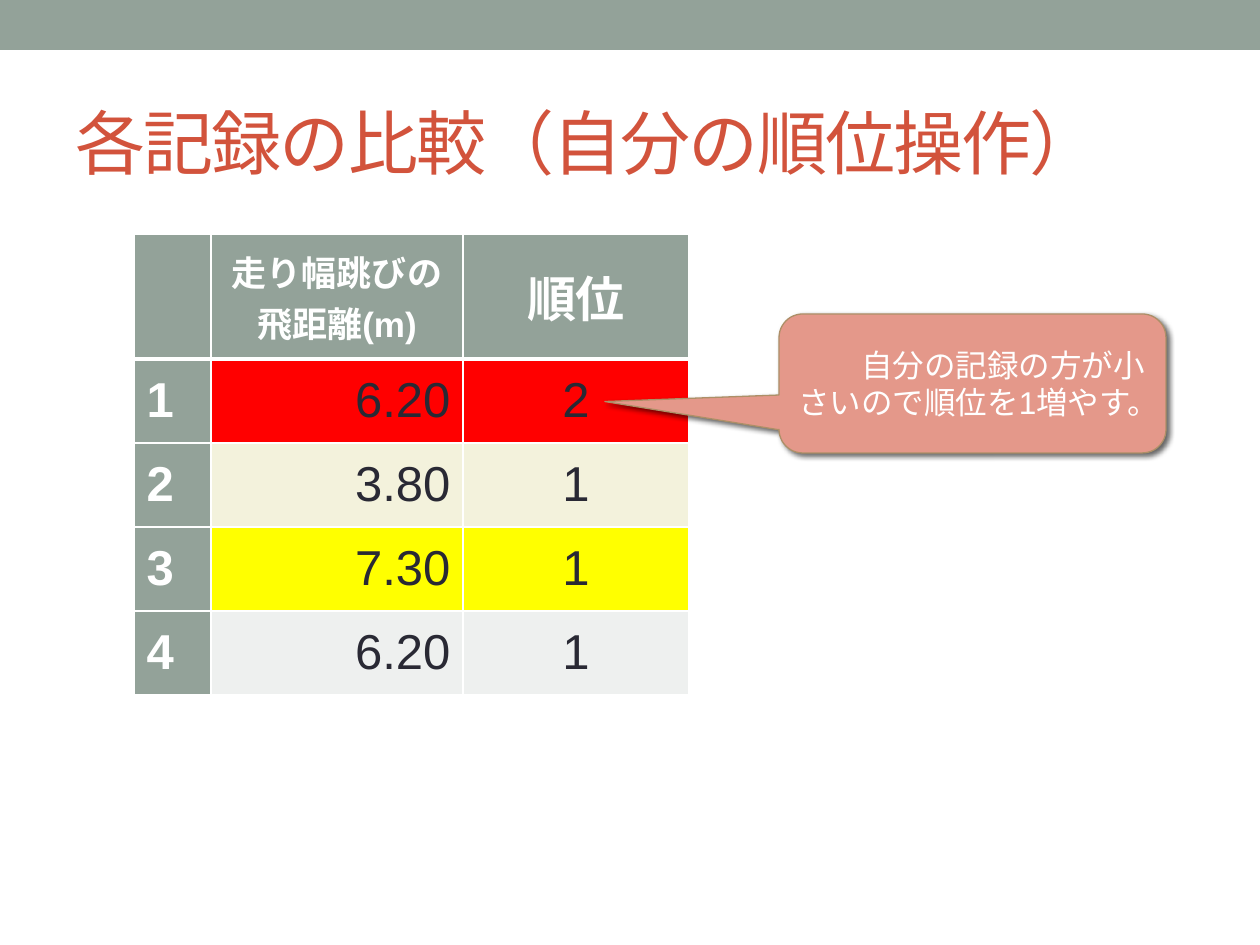
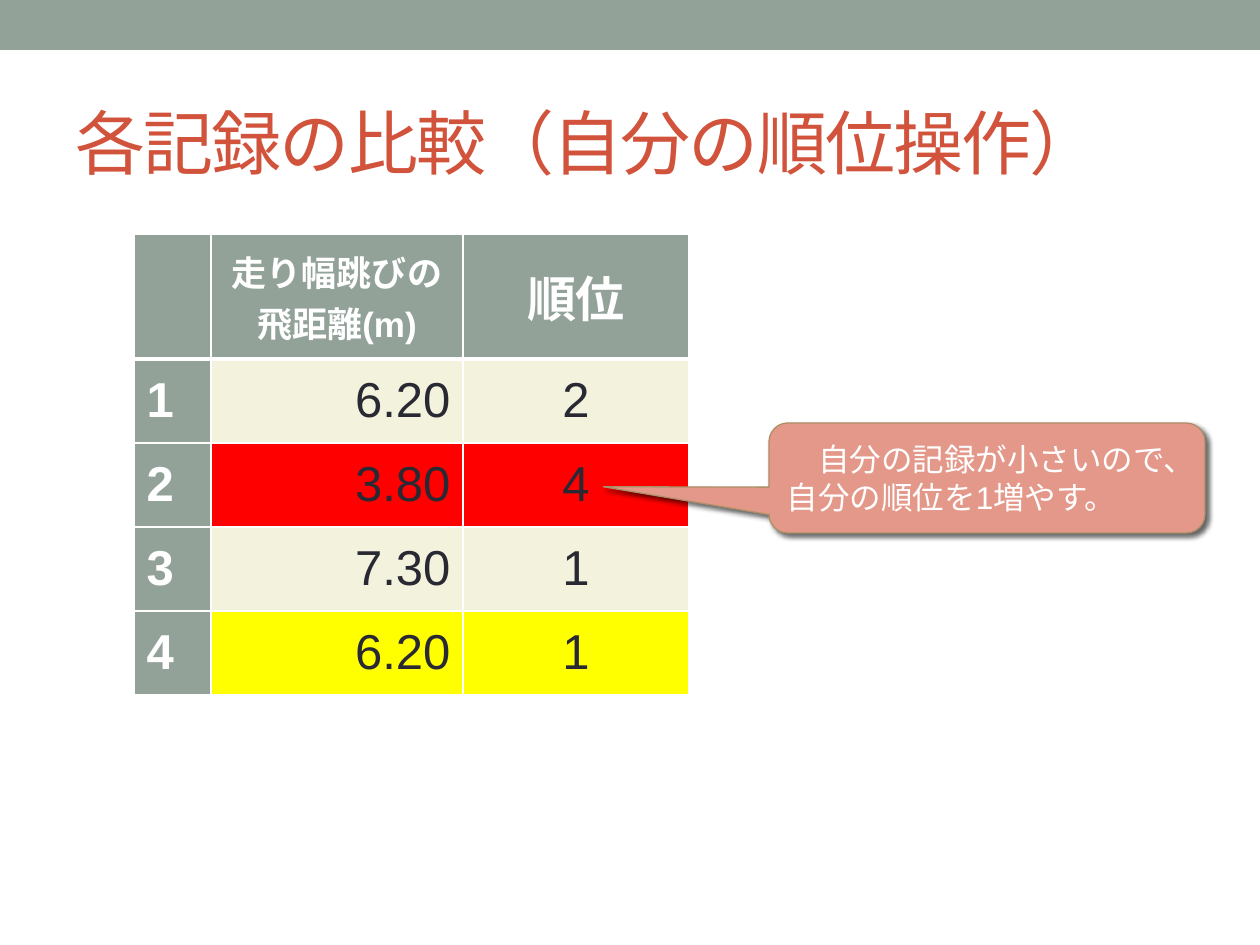
from dataclasses import dataclass

from lxml import etree
from pptx import Presentation
from pptx.dml.color import RGBColor
from pptx.enum.lang import MSO_LANGUAGE_ID
from pptx.enum.shapes import MSO_SHAPE
from pptx.enum.text import MSO_ANCHOR, PP_ALIGN
from pptx.oxml import parse_xml
from pptx.oxml.ns import nsdecls, qn
from pptx.slide import Slide
from pptx.table import _Cell
from pptx.text.text import TextFrame
from pptx.util import Emu, Pt

PX_PER_INCH = 126
FONT = "Arial"
JAPANESE = MSO_LANGUAGE_ID.JAPANESE
RECTANGLE = MSO_SHAPE.RECTANGLE
CALLOUT = MSO_SHAPE.ROUNDED_RECTANGULAR_CALLOUT
MIDDLE = MSO_ANCHOR.MIDDLE
LEFT, CENTER, RIGHT = PP_ALIGN.LEFT, PP_ALIGN.CENTER, PP_ALIGN.RIGHT

WHITE = "FFFFFF"
SAGE = "93A299"
TITLE_RED = "D2533C"
INK = "292934"
CREAM = "F3F2DC"
PALE_GRAY = "EEF0EF"
OWN_RECORD = "FF0000"
COMPARED_RECORD = "FFFF00"
CALLOUT_FILL = "E4988A"
CALLOUT_EDGE = "AD8F67"

TITLE = "各記録の比較（自分の順位操作）"
HEADINGS = (("", 28), ("走り幅跳びの\n飛距離(m)", 20), ("順位", 28))
DISTANCES = ("6.20", "3.80", "7.30", "6.20")
COLUMN_WIDTHS = (77, 252, 226)
HEADER_HEIGHT = 125
RECORD_HEIGHT = 84
CALLOUT_SIZE = 18


@dataclass(frozen=True)
class Box:
    left: int
    top: int
    width: int
    height: int


@dataclass(frozen=True)
class Remark:
    text: str
    box: Box
    indent_chars: int
    pointer: tuple[float, float, float]


@dataclass(frozen=True)
class Step:
    ranks: tuple[str, ...]
    row_fills: tuple[str, ...]
    remark: Remark


BAND_BOX = Box(0, 0, 1260, 50)
TITLE_BOX = Box(63, 73, 1134, 136)
TABLE_BOX = Box(134, 234, sum(COLUMN_WIDTHS), HEADER_HEIGHT + RECORD_HEIGHT * len(DISTANCES))

STEPS = (
    Step(
        ("2", "1", "1", "1"),
        (OWN_RECORD, CREAM, COMPARED_RECORD, PALE_GRAY),
        Remark("自分の記録の方が小さいので順位を1増やす。",
               Box(779, 314, 387, 139), 2, (-0.95, 0.13, 0.17)),
    ),
    Step(
        ("2", "4", "1", "1"),
        (CREAM, OWN_RECORD, CREAM, COMPARED_RECORD),
        Remark("自分の記録が小さいので、自分の順位を1増やす。",
               Box(769, 423, 436, 110), 1, (-0.88, 0.08, 0.17)),
    ),
)


def px(length: int) -> Emu:
    return Emu(round(length * 914400 / PX_PER_INCH))


def place(box: Box) -> tuple[Emu, Emu, Emu, Emu]:
    return px(box.left), px(box.top), px(box.width), px(box.height)


def color(hex_value: str) -> RGBColor:
    return RGBColor.from_string(hex_value)


def write(frame: TextFrame, text: str, size: int, ink: str,
          align: PP_ALIGN = LEFT, bold: bool = False) -> None:
    frame.text = text
    frame.word_wrap = True
    for paragraph in frame.paragraphs:
        paragraph.alignment = align
        for run in paragraph.runs:
            run.font.name = FONT
            run.font.size = Pt(size)
            run.font.bold = bold
            run.font.color.rgb = color(ink)
            run.font.language_id = JAPANESE


def draw_band(slide: Slide) -> None:
    band = slide.shapes.add_shape(RECTANGLE, *place(BAND_BOX))
    band.shadow.inherit = False
    band.fill.solid()
    band.fill.fore_color.rgb = color(SAGE)
    band.line.fill.background()


def draw_title(slide: Slide) -> None:
    frame = slide.shapes.add_textbox(*place(TITLE_BOX)).text_frame
    write(frame, TITLE, 40, TITLE_RED)
    frame.vertical_anchor = MIDDLE
    for run in frame.paragraphs[0].runs:
        run.font._element.set("spc", "-100")


def set_borders(cell: _Cell, top: int, bottom: int) -> None:
    properties = cell._tc.get_or_add_tcPr()
    for position, (side, points) in enumerate(
            (("L", 1), ("R", 1), ("T", top), ("B", bottom))):
        properties.insert(position, parse_xml(
            f'<a:ln{side} {nsdecls("a")} w="{Pt(points)}"><a:solidFill>'
            f'<a:srgbClr val="{WHITE}"/></a:solidFill></a:ln{side}>'))


def fill_cell(cell: _Cell, text: str, size: int, ink: str, fill: str,
              align: PP_ALIGN, bold: bool) -> None:
    write(cell.text_frame, text, size, ink, align, bold)
    cell.vertical_anchor = MIDDLE
    cell.fill.solid()
    cell.fill.fore_color.rgb = color(fill)


def draw_records(slide: Slide, step: Step) -> None:
    records = slide.shapes.add_table(
        len(DISTANCES) + 1, len(COLUMN_WIDTHS), *place(TABLE_BOX)).table
    records.horz_banding = False
    for column, width in zip(records.columns, COLUMN_WIDTHS):
        column.width = px(width)
    for index, row in enumerate(records.rows):
        row.height = px(RECORD_HEIGHT if index else HEADER_HEIGHT)
        for cell in row.cells:
            set_borders(cell, 3 if index == 1 else 1, 1 if index else 3)

    for column, (heading, size) in enumerate(HEADINGS):
        fill_cell(records.cell(0, column), heading, size, WHITE, SAGE, CENTER, True)
    for number, (distance, rank, fill) in enumerate(
            zip(DISTANCES, step.ranks, step.row_fills), start=1):
        fill_cell(records.cell(number, 0), str(number), 28, WHITE, SAGE, LEFT, True)
        fill_cell(records.cell(number, 1), distance, 28, INK, fill, RIGHT, False)
        fill_cell(records.cell(number, 2), rank, 28, INK, fill, CENTER, False)


def draw_remark(slide: Slide, remark: Remark) -> None:
    callout = slide.shapes.add_shape(CALLOUT, *place(remark.box))
    for index, adjustment in enumerate(remark.pointer):
        callout.adjustments[index] = adjustment
    callout.fill.solid()
    callout.fill.fore_color.rgb = color(CALLOUT_FILL)
    callout.line.color.rgb = color(CALLOUT_EDGE)
    callout.line.width = Pt(0.75)
    callout.shadow.inherit = False
    effects = callout._element.spPr.find(qn("a:effectLst"))
    shadow = etree.SubElement(
        effects, qn("a:outerShdw"), blurRad=str(Pt(3)), dist=str(Pt(2)),
        dir="2700000", algn="tl", rotWithShape="0")
    shade = etree.SubElement(shadow, qn("a:srgbClr"), val="000000")
    etree.SubElement(shade, qn("a:alpha"), val="60000")

    frame = callout.text_frame
    write(frame, remark.text, CALLOUT_SIZE, WHITE)
    frame.vertical_anchor = MIDDLE
    paragraph_properties = frame.paragraphs[0]._p.get_or_add_pPr()
    paragraph_properties.set("marL", "0")
    paragraph_properties.set("indent", str(Pt(CALLOUT_SIZE * remark.indent_chars)))


def main() -> None:
    deck = Presentation()
    deck.slide_width, deck.slide_height = px(1260), px(945)
    for step in STEPS:
        slide = deck.slides.add_slide(deck.slide_layouts[6])
        draw_band(slide)
        draw_records(slide, step)
        draw_remark(slide, step.remark)
        draw_title(slide)
    deck.save("out.pptx")


if __name__ == "__main__":
    main()
